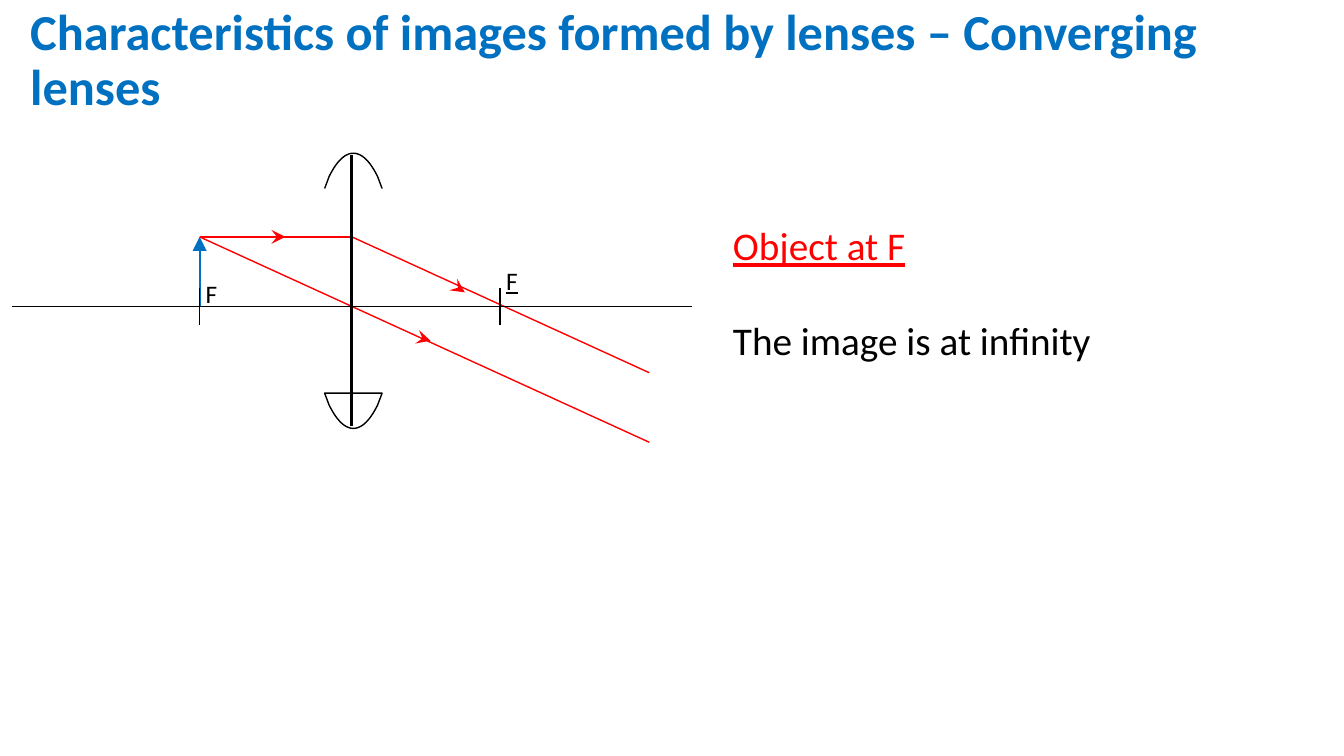
import dataclasses

import pptx
import pptx.dml.color
import pptx.enum.shapes
import pptx.enum.text
import pptx.oxml.ns
import pptx.util
from lxml import etree


@dataclasses.dataclass
class Theme:
    font: str = "Calibri"
    black: str = "000000"
    red: str = "FF0000"
    blue: str = "0070C0"
    title: int = 36
    body: int = 28
    label: int = 18
    thin: float = 0.25
    normal: float = 1
    medium: float = 1.5
    thick: float = 2.25


def write(p, text, size, color, bold=False, underline=False, before=0):
    p.space_before = pptx.util.Pt(before)
    r = p.add_run()
    r.text = text
    r.font.name = theme.font
    r.font.size = pptx.util.Pt(size)
    r.font.bold = bold
    r.font.underline = underline
    r.font.color.rgb = pptx.dml.color.RGBColor.from_string(color)


def draw_line(x1, y1, x2, y2, color, width, head=None):
    ends = [round(v * cell) for v in (x1, y1, x2, y2)]
    c = diagram.shapes.add_connector(pptx.enum.shapes.MSO_CONNECTOR.STRAIGHT, *ends)
    c.line.color.rgb = pptx.dml.color.RGBColor.from_string(color)
    c.line.width = pptx.util.Pt(width)
    if head:
        tail = etree.SubElement(c.line._get_or_add_ln(), pptx.oxml.ns.qn("a:tailEnd"))
        tail.set("type", head)
        tail.set("w", "lg")
        tail.set("len", "lg")
    etree.SubElement(c._element.spPr, pptx.oxml.ns.qn("a:effectLst"))


theme = Theme()
cell = pptx.util.Inches(0.1)
prs = pptx.Presentation()
prs.slide_width = pptx.util.Inches(13.33)
prs.slide_height = pptx.util.Inches(7.5)
s = prs.slides.add_slide(prs.slide_layouts[5])

title = s.shapes.title
title.left, title.top, title.width, title.height = [round(v * cell) for v in (2, 1.6, 127.4, 9)]
tf = title.text_frame
tf.word_wrap = True
tf.auto_size = pptx.enum.text.MSO_AUTO_SIZE.NONE
tf.vertical_anchor = pptx.enum.text.MSO_ANCHOR.MIDDLE
p = tf.paragraphs[0]
p.alignment = pptx.enum.text.PP_ALIGN.LEFT
p.line_spacing = 0.9
write(p, "Characteristics of images formed by lenses – Converging lenses",
      size=theme.title, color=theme.blue, bold=True)

diagram = s.shapes.add_group_shape()
lens, axis = 34.9, 30.4
near_focus, far_focus = 19.8, 49.6
object_top, ray_end = 23.5, 64.4
slope = (axis - object_top) / (lens - near_focus)

cap_center = 35.05
curve = ((0, 0), (0.9, 0), (1.7, 0.9), (2.4, 2.3))
steps = 12
half = []
for i in range(steps + 1):
    t = i / steps
    weights = ((1 - t) ** 3, 3 * t * (1 - t) ** 2, 3 * t ** 2 * (1 - t), t ** 3)
    half.append([sum(w * pt[k] for w, pt in zip(weights, curve)) for k in (0, 1)])
half.append([2.85, 3.5])
arc = [(-x, y) for x, y in reversed(half)] + half[1:]
for apex, direction, closed in ((15.2, 1, False), (42.5, -1, True)):
    points = [((cap_center + x) * cell, (apex + direction * y) * cell) for x, y in arc]
    builder = diagram.shapes.build_freeform(*points[0])
    builder.add_line_segments(points[1:], close=closed)
    cap = builder.convert_to_shape()
    cap.shadow.inherit = False
    cap.fill.background()
    cap.line.color.rgb = pptx.dml.color.RGBColor.from_string(theme.black)
    cap.line.width = pptx.util.Pt(theme.normal)

draw_line(near_focus, object_top, lens, object_top, theme.red, theme.normal)
for x, y in ((near_focus, object_top), (lens, object_top)):
    draw_line(x, y, ray_end, y + slope * (ray_end - x), theme.red, theme.normal)
for x1, y1, x2, y2 in ((26.7, 23.5, 28.3, 23.5), (45.5, 28.6, 46.1, 29), (42, 33.6, 42.7, 33.8)):
    draw_line(x1, y1, x2, y2, theme.red, theme.thin, head="stealth")

draw_line(1.2, axis, 68.6, axis, theme.black, theme.normal)
draw_line(near_focus, axis, near_focus, object_top, theme.blue, theme.medium, head="triangle")
for focus in (near_focus, far_focus):
    draw_line(focus, axis - 1.8, focus, axis + 1.8, theme.black, theme.normal)
draw_line(lens, 15.4, lens, 42.3, theme.black, theme.thick)

texts = (
    (diagram, (20.4, 27.6, 3.3, 3), [("F", dict(size=theme.label, color=theme.black))]),
    (diagram, (50.2, 26.3, 3.3, 3),
     [("F", dict(size=theme.label, color=theme.black, underline=True))]),
    (s, (72.7, 22, 59.3, 14.1),
     [("Object at F", dict(size=theme.body, color=theme.red, underline=True)),
      ("The image is at infinity", dict(size=theme.body, color=theme.black, before=34))]),
)
for parent, box, lines in texts:
    sp = parent.shapes.add_textbox(*[round(v * cell) for v in box])
    tf = sp.text_frame
    tf.word_wrap = True
    tf.margin_left = tf.margin_right = tf.margin_top = tf.margin_bottom = 0
    for i, (text, style) in enumerate(lines):
        p = tf.add_paragraph() if i else tf.paragraphs[0]
        write(p, text, **style)

prs.save("out.pptx")
